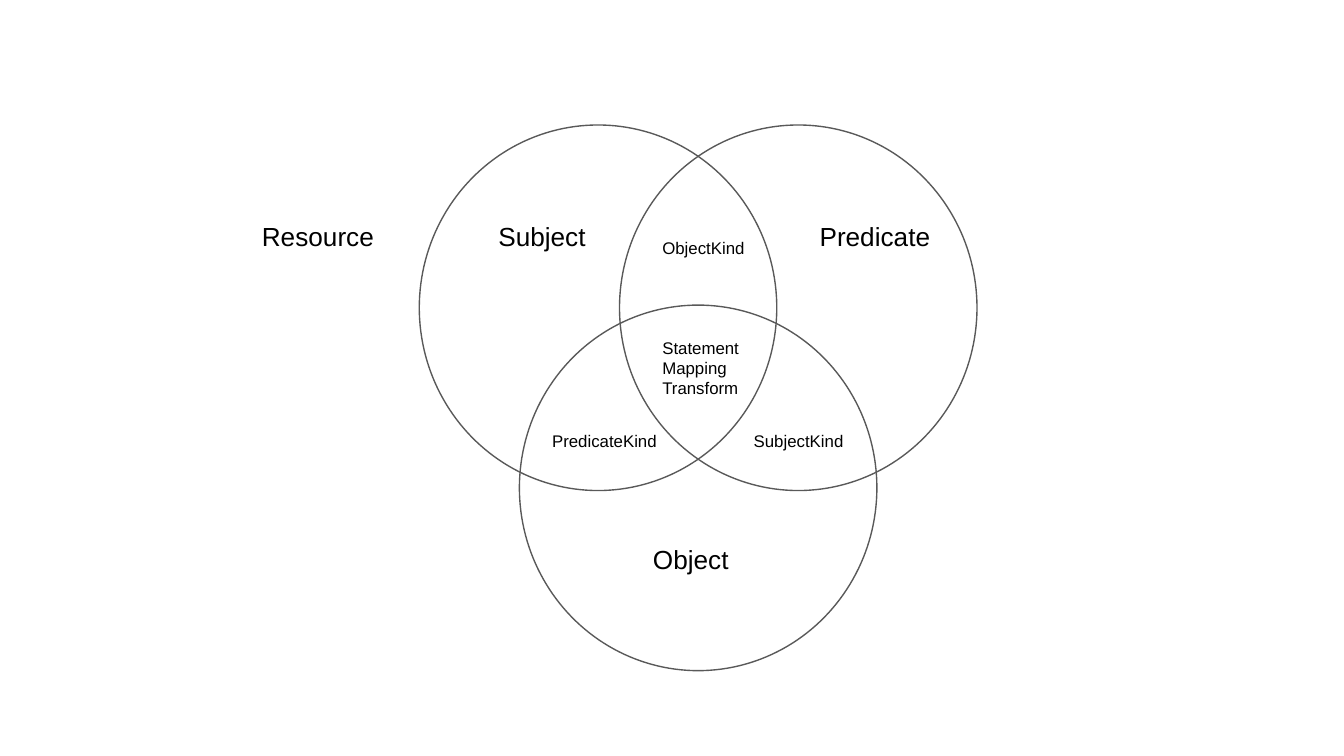
"""Build a three-circle Venn slide of subject, predicate and object."""
from pptx import Presentation
from pptx.dml.color import RGBColor as Rgb
from pptx.enum.shapes import MSO_SHAPE as Kind
from pptx.enum.text import MSO_AUTO_SIZE as Fit
from pptx.util import Inches as Inch, Pt

WIDE = 10
SIZE = WIDE, WIDE * 9 / 16
HUES = {"page": "FFFFFF", "line": "595959", "text": "000000"}
FONT = "Arial"
PAD = 0.1

START = 3.12, 0.93
STEP = 1.49, 1.34
RING = 2.66, 2.72
CELLS = [(0, 0), (1, 0), (0.5, 1)]

ROWS = {"name": 1.54, "upper": 1.69, "core": 2.41, "lower": 3.13, "base": 3.94}
STYLES = {"big": (14, 0.43), "small": (9, 0.35), "list": (9, 0.64)}
LABELS = [
    (["Resource"], 1.85, "name", 2.75, "big"),
    (["Subject"], 3.61, "name", 2.17, "big"),
    (["Predicate"], 6, "name", 2.17, "big"),
    (["Object"], 4.76, "base", 2.66, "big"),
    (["PredicateKind"], 4.01, "lower", 2.37, "small"),
    (["SubjectKind"], 5.51, "lower", 2.37, "small"),
    (["ObjectKind"], 4.83, "upper", 2.37, "small"),
    (["Statement", "Mapping", "Transform"], 4.83, "core", 2.37, "list"),
]


def hue(name):
    return Rgb.from_string(HUES[name])


def draw_ring(slide, col, row):
    left, top = START[0] + col * STEP[0], START[1] + row * STEP[1]
    box = [Inch(n) for n in (left, top, *RING)]
    ring = slide.shapes.add_shape(Kind.OVAL, *box)
    ring.shadow.inherit = False
    ring.fill.background()
    ring.line.color.rgb = hue("line")
    ring.line.width = Pt(0.75)


def draw_label(slide, lines, left, row, width, style):
    size, height = STYLES[style]
    box = [Inch(n) for n in (left, ROWS[row], width, height)]
    frame = slide.shapes.add_textbox(*box).text_frame
    frame.word_wrap = True
    frame.auto_size = Fit.SHAPE_TO_FIT_TEXT
    frame.margin_left = frame.margin_right = Inch(PAD)
    frame.margin_top = frame.margin_bottom = Inch(PAD)
    for i, line in enumerate(lines):
        para = frame.add_paragraph() if i else frame.paragraphs[0]
        run = para.add_run()
        run.text = line
        run.font.name = FONT
        run.font.size = Pt(size)
        run.font.color.rgb = hue("text")


def main():
    deck = Presentation()
    deck.slide_width, deck.slide_height = [Inch(n) for n in SIZE]
    slide = deck.slides.add_slide(deck.slide_layouts[6])
    slide.background.fill.solid()
    slide.background.fill.fore_color.rgb = hue("page")
    for cell in CELLS:
        draw_ring(slide, *cell)
    for label in LABELS:
        draw_label(slide, *label)
    deck.save("out.pptx")


if __name__ == "__main__":
    main()
